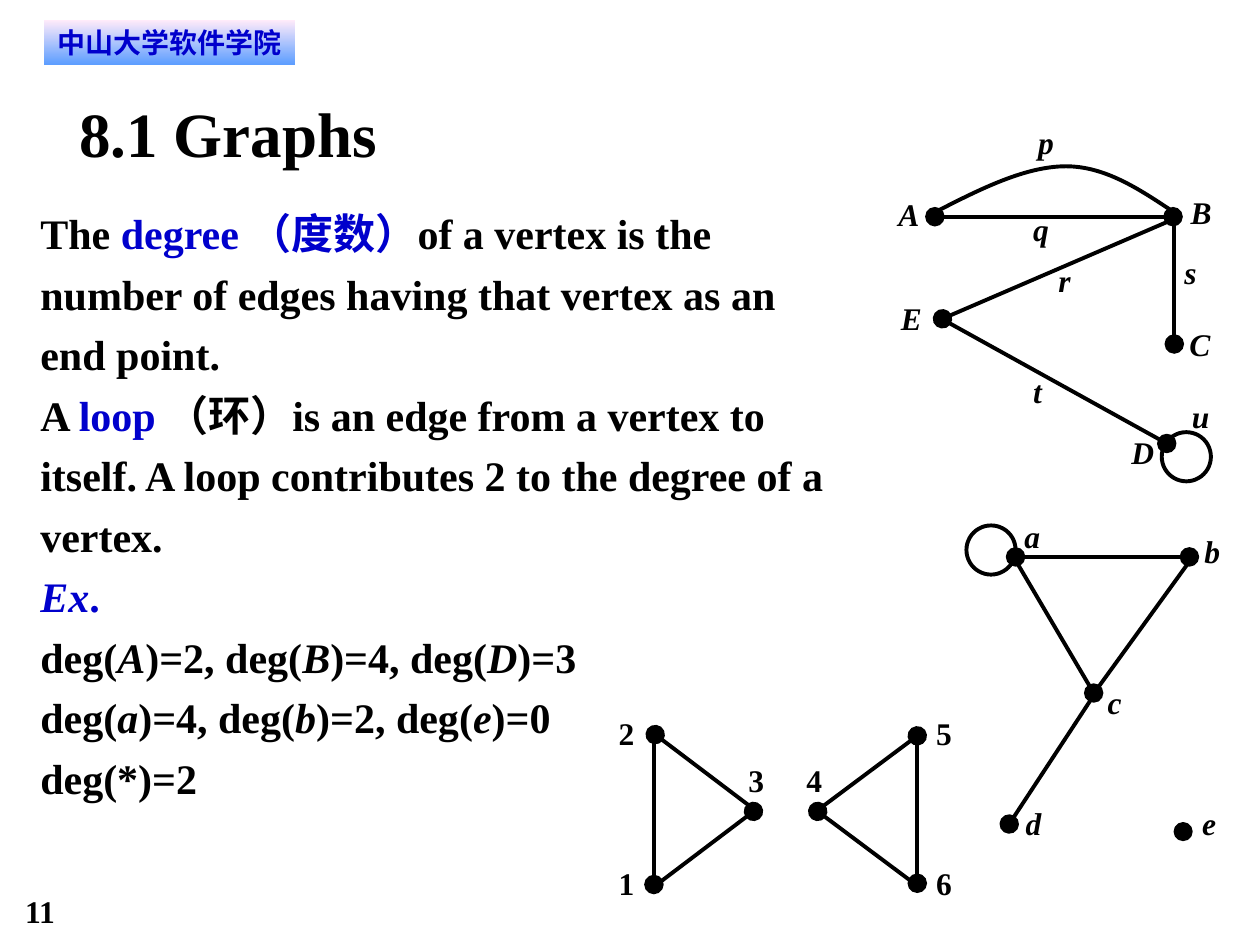
import pptx
import pptx.dml.color
import pptx.enum.shapes
import pptx.enum.text
import pptx.oxml.ns
import pptx.util
from lxml import etree

Inches = pptx.util.Inches
qn = pptx.oxml.ns.qn
SERIF = "Times New Roman"
LINE_WIDTH = pptx.util.Pt(2.25)
COLOURS = {
    name: pptx.dml.color.RGBColor.from_string(value)
    for name, value in {
        "ink": "000000", "key": "0000CC", "pink": "FFEBFA", "sky": "5E9EFF",
    }.items()
}

deck = pptx.Presentation()
deck.slide_width, deck.slide_height = Inches(10), Inches(7.5)
page = deck.slides.add_slide(deck.slide_layouts[6])


def write_spans(para, spans, size, font=SERIF):
    """Add bold runs given as (text, colour name, italic)."""
    for text, colour, italic in spans:
        span = para.add_run()
        span.text = text
        span.font.name = font
        span.font.size = pptx.util.Pt(size)
        span.font.bold = True
        span.font.italic = italic
        span.font.color.rgb = COLOURS[colour]


def add_text(left, top, width, height, paragraphs, size, spacing=None):
    """Add a text box without margins, one list of spans per paragraph."""
    box = page.shapes.add_textbox(*map(Inches, (left, top, width, height)))
    frame = box.text_frame
    frame.word_wrap = True
    frame.margin_left = frame.margin_right = 0
    frame.margin_top = frame.margin_bottom = 0
    for number, spans in enumerate(paragraphs):
        para = frame.add_paragraph() if number else frame.paragraphs[0]
        para.line_spacing = spacing
        write_spans(para, spans, size)


# Page number and title
add_text(0.2, 7.08, 0.75, 0.3, [[("11", "ink", False)]], 18)
add_text(0.63, 0.75, 8.75, 0.6, [[("8.1 Graphs", "ink", False)]], 36)

# School banner
banner = page.shapes.add_shape(
    pptx.enum.shapes.MSO_SHAPE.RECTANGLE,
    Inches(0.35), Inches(0.16), Inches(1.99), Inches(0.35))
banner.shadow.inherit = False
banner.line.fill.background()
banner.fill.gradient()
banner.fill.gradient_angle = 270
for stop, colour in zip(banner.fill.gradient_stops, ("pink", "sky")):
    stop.color.rgb = COLOURS[colour]
frame = banner.text_frame
frame.margin_left = frame.margin_right = Inches(0.08)
frame.margin_top = frame.margin_bottom = Inches(0.04)
frame.paragraphs[0].alignment = pptx.enum.text.PP_ALIGN.CENTER
write_spans(frame.paragraphs[0], [("中山大学软件学院", "key", False)], 16, "DejaVu Sans")

# Definitions and examples
definitions = [
    [("The ", "ink", False), ("degree （度数）", "key", False),
     ("of a vertex is the number of edges having that vertex as an end point.",
      "ink", False)],
    [("A ", "ink", False), ("loop ", "key", False),
     ("（环）is an edge from a vertex to itself. "
      "A loop contributes 2 to the degree of a vertex.", "ink", False)],
    [("Ex", "key", True), (".", "key", False)],
]
# Every second piece is a vertex name in italics
examples = [
    ("deg(", "A", ")=2, deg(", "B", ")=4, deg(", "D", ")=3"),
    ("deg(", "a", ")=4, deg(", "b", ")=2, deg(", "e", ")=0"),
    ("deg(*)=2",),
]
for pieces in examples:
    definitions.append([(piece, "ink", number % 2 == 1)
                        for number, piece in enumerate(pieces)])
add_text(0.32, 1.57, 6.35, 4.8, definitions, 24, 1.2)

# Edges: start, end, and which ends carry a vertex dot
edges = [
    # Graph A to E
    (7.49, 2.54, 9.26, 3.52, ["tailEnd"]),
    (7.48, 2.53, 9.29, 1.75, ["headEnd"]),
    (7.42, 1.72, 9.31, 1.72, ["headEnd", "tailEnd"]),
    (9.32, 1.75, 9.32, 2.73, ["tailEnd"]),
    # Graph a to e
    (8.05, 4.43, 8.68, 5.5, ["tailEnd"]),
    (8.72, 5.45, 9.43, 4.47, []),
    (8.06, 4.42, 9.44, 4.42, ["headEnd", "tailEnd"]),
    (8.01, 6.54, 8.66, 5.55, ["headEnd"]),
    # Triangle 1 2 3
    (5.19, 5.84, 5.19, 7.02, ["tailEnd"]),
    (5.2, 7.03, 5.98, 6.44, ["tailEnd"]),
    (5.2, 5.83, 5.98, 6.42, ["headEnd"]),
    # Triangle 4 5 6
    (7.28, 5.83, 7.28, 7.01, ["tailEnd"]),
    (6.49, 6.43, 7.28, 5.84, ["tailEnd"]),
    (6.49, 6.44, 7.28, 7.03, ["headEnd"]),
]
for *ends, dots in edges:
    edge = page.shapes.add_connector(
        pptx.enum.shapes.MSO_CONNECTOR.STRAIGHT, *map(Inches, ends))
    edge.line.color.rgb = COLOURS["ink"]
    edge.line.width = LINE_WIDTH
    outline = edge._element.spPr.find(qn("a:ln"))
    for dot in dots:
        etree.SubElement(outline, qn("a:" + dot), type="oval", w="lg", len="lg")
    etree.SubElement(edge._element.spPr, qn("a:effectLst"))

# Loops at D and a, and the isolated vertex e
for left, top, size, filled in [
        (9.22, 3.43, 0.39, False), (7.67, 4.17, 0.39, False), (9.33, 6.54, 0.12, True)]:
    circle = page.shapes.add_shape(
        pptx.enum.shapes.MSO_SHAPE.OVAL,
        Inches(left), Inches(top), Inches(size), Inches(size))
    circle.shadow.inherit = False
    circle.line.color.rgb = COLOURS["ink"]
    circle.line.width = LINE_WIDTH
    if filled:
        circle.fill.solid()
        circle.fill.fore_color.rgb = COLOURS["ink"]
    else:
        circle.fill.background()

# Curved edge p, in hundredths of an inch: three points make a Bezier segment
builder = page.shapes.build_freeform(743, 168, scale=Inches(0.01))
builder.add_line_segments(
    [(778, 150), (814, 132), (846, 132), (877, 132), (904, 150), (931, 168)],
    close=False)
curve = builder.convert_to_shape()
curve.shadow.inherit = False
curve.fill.background()
curve.line.color.rgb = COLOURS["ink"]
curve.line.width = LINE_WIDTH
route = next(curve._element.iter(qn("a:path")))
segments = route.findall(qn("a:lnTo"))
for first in range(0, len(segments), 3):
    bezier = etree.SubElement(route, qn("a:cubicBezTo"))
    for segment in segments[first:first + 3]:
        bezier.append(segment[0])
        route.remove(segment)

# Vertex and edge labels; numbers stay upright
labels = [
    ("A", 7.13, 1.55), ("B", 9.45, 1.53), ("C", 9.44, 2.58), ("D", 8.98, 3.44),
    ("E", 7.15, 2.37), ("p", 8.24, 0.98), ("q", 8.2, 1.67), ("r", 8.4, 2.07),
    ("s", 9.4, 2.01), ("t", 8.2, 2.95), ("u", 9.46, 3.15),
    ("a", 8.13, 4.1), ("b", 9.56, 4.22), ("c", 8.79, 5.42), ("d", 8.14, 6.38),
    ("e", 9.54, 6.38),
    ("1", 4.91, 6.86), ("2", 4.91, 5.67), ("3", 5.94, 6.04),
    ("4", 6.4, 6.04), ("5", 7.43, 5.67), ("6", 7.43, 6.86),
]
for name, left, top in labels:
    width = 0.18 if name.isupper() else 0.13
    add_text(left, top, width, 0.3, [[(name, "ink", name.isalpha())]], 18)

deck.save("out.pptx")
